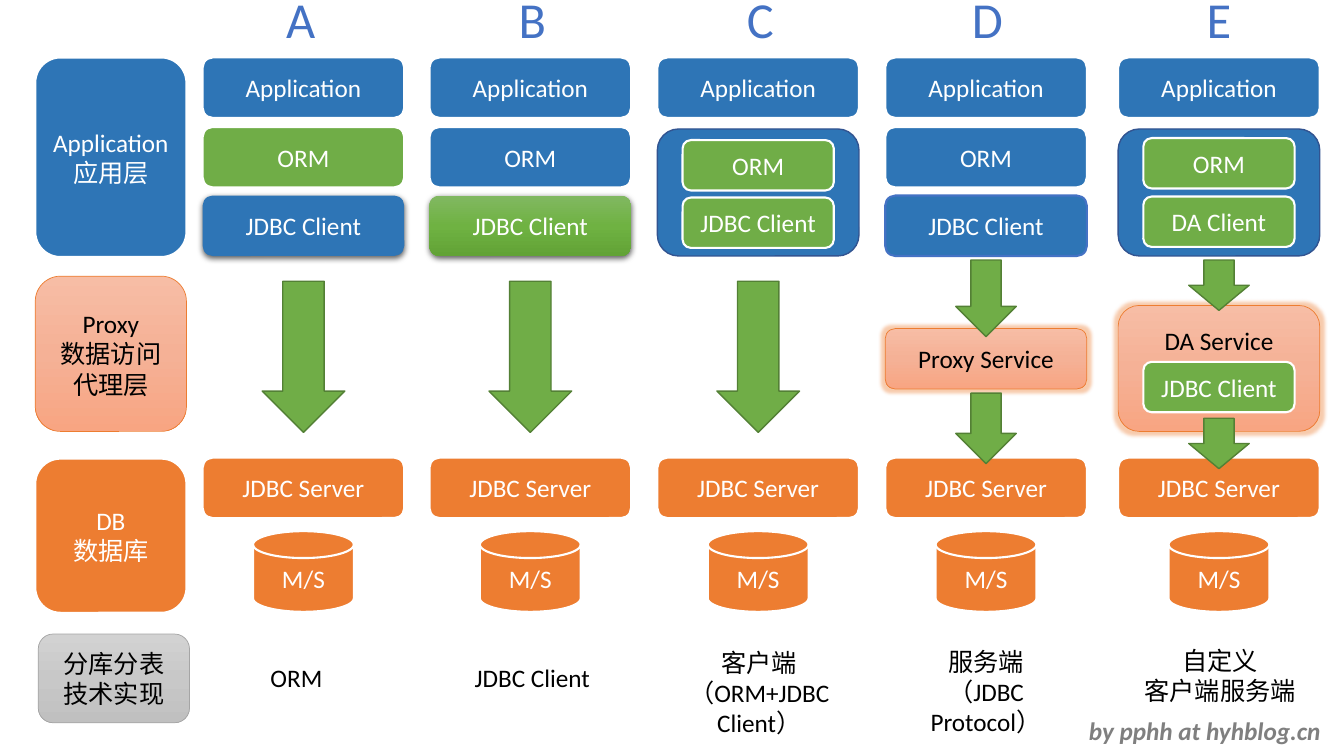
import pptx
import pptx.util
import pptx.dml.color
import pptx.enum.shapes
import pptx.enum.text
import pptx.oxml
import pptx.oxml.ns

Inches, Pt = pptx.util.Inches, pptx.util.Pt
SHAPE = pptx.enum.shapes.MSO_SHAPE
ALIGN = pptx.enum.text.PP_ALIGN
MIDDLE = pptx.enum.text.MSO_ANCHOR.MIDDLE

COLORS = {
    "blue": "2E75B6", "navy": "325491", "accent": "4472C4", "green": "70AD47",
    "moss": "538035", "orange": "ED7D31", "gray": "A5A5A5", "dim": "7F7F7F",
    "white": "FFFFFF", "black": "000000",
}
GRADIENTS = {
    "peach": ("F7BDA5", "F5B196", "F8A582"),
    "leaf": ("81B861", "6FB242", "62A336"),
    "silver": ("D2D2D2", "C8C8C8", "C0C0C0"),
}
EFFECTS = {
    "shadow": '<a:outerShdw {} blurRad="57150" dist="19050" dir="5400000" algn="ctr" '
              'rotWithShape="0"><a:srgbClr val="000000"><a:alpha val="63000"/>'
              '</a:srgbClr></a:outerShdw>',
    "glow": '<a:glow {} rad="63500"><a:srgbClr val="ED7D31"><a:alpha val="40000"/>'
            '</a:srgbClr></a:glow>',
}
# style: preset, fill, line, line width, text colour, effect
ROUND = SHAPE.ROUNDED_RECTANGLE
STYLES = {
    "blue": (ROUND, "blue", "white", 1.5, "white", None),
    "edged": (ROUND, "blue", "accent", 1.5, "white", None),
    "raised": (ROUND, "blue", None, 0, "white", "shadow"),
    "raised green": (ROUND, "leaf", None, 0, "white", "shadow"),
    "frame": (ROUND, "blue", "navy", 1, "white", None),
    "green": (ROUND, "green", "white", 1.5, "white", None),
    "orange": (ROUND, "orange", "white", 1.5, "white", None),
    "peach": (ROUND, "peach", "orange", 0.5, "black", None),
    "glowing": (ROUND, "peach", "orange", 0.5, "black", "glow"),
    "silver": (ROUND, "silver", "gray", 0.5, "black", None),
    "disk": (SHAPE.FLOWCHART_MAGNETIC_DISK, "orange", "white", 1.5, "white", None),
    "arrow": (SHAPE.DOWN_ARROW, "green", "moss", 1, "white", None),
}

# Layers at the left: style, left, top, height, text
LAYERS = [
    ("blue", 0.35, 0.57, 1.98, "Application\n应用层"),
    ("peach", 0.35, 2.74, 1.54, "Proxy\n数据访问\n代理层"),
    ("orange", 0.35, 4.55, 1.53, "DB\n数据库"),
    ("silver", 0.38, 6.29, 0.88, "分库分表技术实现"),
]
# Parts, centred in their column: style, width, top, height, text
COMMON = [
    ("blue", 2, 0.57, 0.6, "Application"),
    ("orange", 2, 4.54, 0.6, "JDBC Server"),
    ("disk", 1, 5.27, 0.8, "M/S"),
]
LONG_ARROW = ("arrow", 0.82, 2.79, 1.5, "")
BLUE_ORM = ("blue", 2, 1.26, 0.6, "ORM")
FRAME = ("frame", 2, 1.28, 1.26, "")
# Columns: letter, letter centre, column centre, parts
COLUMNS = [
    ("A", 2.98, 3.01, [("green", 2, 1.26, 0.6, "ORM"),
                       ("raised", 2, 1.94, 0.6, "JDBC Client"), LONG_ARROW]),
    ("B", 5.28, 5.26, [BLUE_ORM, ("raised green", 2, 1.94, 0.6, "JDBC Client"),
                       LONG_ARROW]),
    ("C", 7.54, 7.52, [LONG_ARROW, FRAME, ("green", 1.5, 1.96, 0.5, "JDBC Client"),
                       ("green", 1.5, 1.39, 0.5, "ORM")]),
    ("D", 9.78, 9.78, [BLUE_ORM, ("edged", 2, 1.94, 0.6, "JDBC Client"),
                       ("glowing", 2, 3.26, 0.6, "Proxy Service"),
                       ("arrow", 0.6, 3.9, 0.7, ""), ("arrow", 0.6, 2.58, 0.76, "")]),
    ("E", 12.09, 12.09, [("glowing", 2, 3.03, 1.25, ""), ("arrow", 0.6, 2.58, 0.5, ""),
                         ("arrow", 0.6, 4.15, 0.5, ""), FRAME,
                         ("green", 1.5, 1.37, 0.5, "ORM"),
                         ("green", 1.5, 1.95, 0.5, "DA Client"),
                         ("green", 1.5, 3.59, 0.5, "JDBC Client")]),
]
# Loose texts: centre, top, width, height, text
CAPTIONS = [
    (2.94, 6.52, 0.72, 0.4, "ORM"),
    (5.28, 6.52, 1.36, 0.4, "JDBC Client"),
    (7.53, 6.37, 2.51, 0.71, "客户端\n（ORM+JDBC Client）"),
    (9.78, 6.36, 2.13, 0.71, "服务端\n（JDBC Protocol）"),
    (12.1, 6.35, 1.72, 0.71, "自定义\n客户端服务端"),
    (12.09, 3.18, 1.29, 0.4, "DA Service"),
]
BYLINE = (11.95, 7.05, 2.53, 0.4, "by pphh at hyhblog.cn")
WRAP_WIDTH = 1.55  # text width of the captions that run over two lines


def rgb(name):
    return pptx.dml.color.RGBColor.from_string(COLORS[name])


def write(box, text, color, size=18, **extra):
    frame = box.text_frame
    for number, line in enumerate(text.split("\n")):
        para = frame.paragraphs[0] if number == 0 else frame.add_paragraph()
        para.alignment = ALIGN.CENTER
        span = para.add_run()
        span.text = line
        span.font.color.rgb = rgb(color)
        for key, value in {"name": "Calibri", "size": Pt(size), **extra}.items():
            setattr(span.font, key, value)


def paint_gradient(box, stops):
    box.fill.gradient()
    box.fill.gradient_angle = 270
    stop_list = box.element.spPr.find(".//" + pptx.oxml.ns.qn("a:gsLst"))
    for stop in list(stop_list):
        stop_list.remove(stop)
    for number, color in enumerate(stops):
        stop_list.append(pptx.oxml.parse_xml(
            f'<a:gs {pptx.oxml.ns.nsdecls("a")} pos="{number * 50000}">'
            f'<a:srgbClr val="{color}"/></a:gs>'))


def add_part(canvas, style, left, top, width, height, text):
    preset, fill, line, weight, color, effect = STYLES[style]
    box = canvas.add_shape(preset, Inches(left), Inches(top), Inches(width), Inches(height))
    box.shadow.inherit = False
    if fill in GRADIENTS:
        paint_gradient(box, GRADIENTS[fill])
    else:
        box.fill.solid()
        box.fill.fore_color.rgb = rgb(fill)
    if line:
        box.line.color.rgb = rgb(line)
        box.line.width = Pt(weight)
    else:
        box.line.fill.background()
    if effect:
        effects = box.element.spPr.find(pptx.oxml.ns.qn("a:effectLst"))
        effects.append(pptx.oxml.parse_xml(
            EFFECTS[effect].format(pptx.oxml.ns.nsdecls("a"))))
    if text:
        box.text_frame.vertical_anchor = MIDDLE
        box.text_frame.word_wrap = True
        write(box, text, color)


def add_text(canvas, center, top, width, height, text, color="black", **extra):
    box = canvas.add_textbox(Inches(center - width / 2), Inches(top),
                             Inches(width), Inches(height))
    frame = box.text_frame
    frame.word_wrap = "（" in text
    if frame.word_wrap:
        frame.margin_left = frame.margin_right = Inches((width - WRAP_WIDTH) / 2)
    write(box, text, color, **extra)


def main():
    deck = pptx.Presentation()
    deck.slide_width, deck.slide_height = Inches(13.33), Inches(7.5)
    page = deck.slides.add_slide(deck.slide_layouts[6])

    # Layer names
    for style, left, top, height, text in LAYERS:
        add_part(page.shapes, style, left, top, 1.5, height, text)

    # One group for each architecture
    for letter, letter_center, center, parts in COLUMNS:
        group = page.shapes.add_group_shape()
        for style, width, top, height, text in COMMON + parts:
            add_part(group.shapes, style, center - width / 2, top, width, height, text)
        add_text(page.shapes, letter_center, -0.17, 0.48, 0.71, letter, "accent", size=36)

    # Captions and byline
    for caption in CAPTIONS:
        add_text(page.shapes, *caption)
    add_text(page.shapes, *BYLINE, color="dim", bold=True, italic=True)

    deck.save("out.pptx")


if __name__ == "__main__":
    main()
